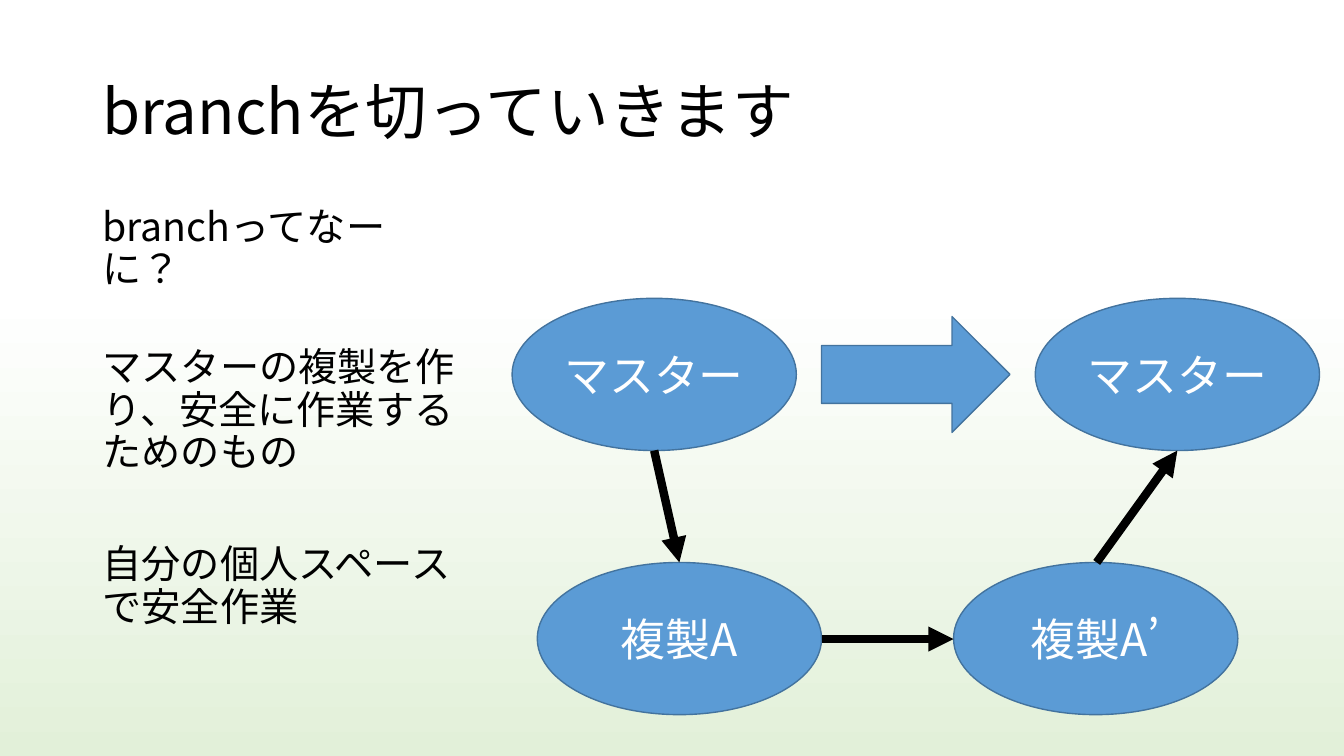
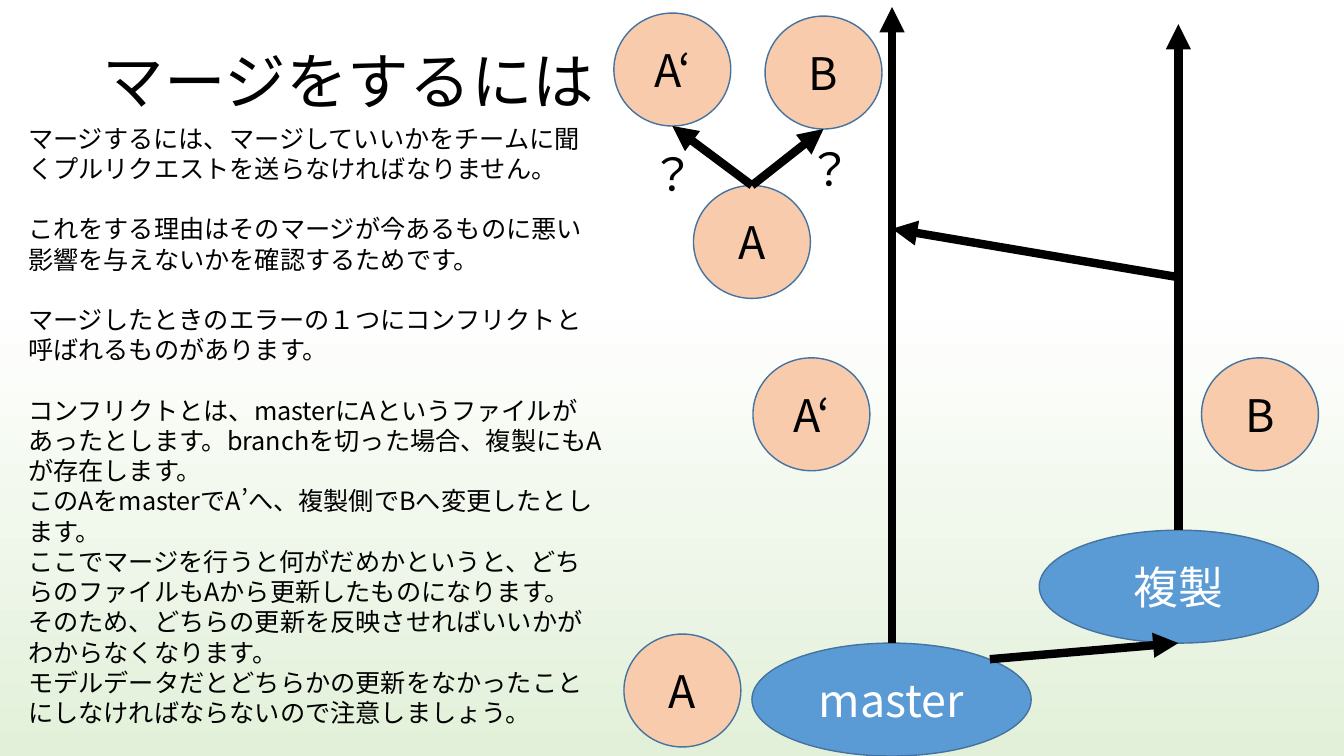
from lxml import etree
from pptx import Presentation
from pptx import util as u
from pptx.dml.color import RGBColor
from pptx.enum import lang, shapes, text
from pptx.oxml import ns

PX = 9144  # 100 px to the inch
FONT = "Noto Sans CJK JP"
C = {"black": "000000", "white": "FFFFFF", "blue": "5B9BD5",
     "edge": "43739E", "peach": "F8CBAD", "green": "E2F0D9"}
OVAL = shapes.MSO_SHAPE.OVAL
ARROW = shapes.MSO_SHAPE.RIGHT_ARROW


def rgb(name):
    return RGBColor.from_string(C[name])


def write(s, box, paragraphs, size=32, color="black", align=None, middle=False,
          spacing=1.0, gaps=(), shape=None, fill="blue"):
    """Put paragraphs in a text box, or in a filled shape; gaps are space before in points."""
    place = [v * PX for v in box]
    if shape is None:
        sp = s.shapes.add_textbox(*place)
    else:
        sp = s.shapes.add_shape(shape, *place)
        sp.shadow.inherit = False
        sp.fill.solid()
        sp.fill.fore_color.rgb = rgb(fill)
        sp.line.color.rgb = rgb("edge")
        sp.line.width = u.Pt(1)
    tf = sp.text_frame
    tf.word_wrap = True
    tf.vertical_anchor = text.MSO_ANCHOR.MIDDLE if middle else text.MSO_ANCHOR.TOP
    for i, line in enumerate(paragraphs):
        p = tf.add_paragraph() if i else tf.paragraphs[0]
        p.alignment = align
        p.line_spacing = u.Pt(size * 1.2 * spacing)
        if i < len(gaps):
            p.space_before = u.Pt(gaps[i])
        r = p.add_run()
        r.text = line
        r.font.size = u.Pt(size)
        r.font.color.rgb = rgb(color)
        r.font.name = FONT
        r.font.language_id = lang.MSO_LANGUAGE_ID.JAPANESE
        etree.SubElement(r._r.get_or_add_rPr(), ns.qn("a:ea"), typeface=FONT)


def arrow(s, *ends):
    c = s.shapes.add_connector(shapes.MSO_CONNECTOR.STRAIGHT, *[v * PX for v in ends])
    c.line.color.rgb = rgb("black")
    c.line.width = u.Pt(6)
    etree.SubElement(c.line._get_or_add_ln(), ns.qn("a:tailEnd"), type="triangle")
    etree.SubElement(c._element.spPr, ns.qn("a:effectLst"))


prs = Presentation()
prs.slide_width, prs.slide_height = u.Inches(13.333), u.Inches(7.5)
blank = prs.slide_layouts[6]

# Shared background
bg = prs.slide_master.background.fill
bg.gradient()
bg.gradient_angle = 270
for stop, (name, position) in zip(bg.gradient_stops, [("white", 0.39), ("green", 1.0)]):
    stop.color.rgb = rgb(name)
    stop.position = position

title = dict(size=44, middle=True, spacing=0.9)
node = dict(shape=OVAL, middle=True, align=text.PP_ALIGN.CENTER)

# Slide 1: branches
s = prs.slides.add_slide(blank)
write(s, (92, 40, 1150, 145), ["branchを切っていきます"], **title)
write(s, (92, 200, 377, 531),
      ["branchってなーに？",
       "マスターの複製を作り、安全に作業するためのもの",
       "自分の個人スペースで安全作業"],
      size=28, spacing=0.9, gaps=(0, 40, 50))
for label, x, y in [("マスター", 508, 296), ("マスター", 1027, 296),
                    ("複製A", 533, 558), ("複製A’", 946, 558)]:
    write(s, (x, y, 282, 151), [label], color="white", **node)
write(s, (815, 314, 187, 115), [], shape=ARROW)
for ends in [(649, 447, 674, 558), (815, 634, 946, 634), (1088, 558, 1168, 447)]:
    arrow(s, *ends)

# Slide 2: merging
s = prs.slides.add_slide(blank)
write(s, (92, 40, 1150, 85), ["マージをするには"], **title)
for label, x, y in [("master", 746, 638), ("複製", 1031, 526)]:
    write(s, (x, y, 277, 112), [label], color="white", **node)
for label, x, y in [("A", 688, 184), ("A‘", 747, 355), ("B", 1192, 355),
                    ("A", 619, 629), ("A‘", 609, 13), ("B", 759, 16)]:
    write(s, (x, y, 116, 112), [label], fill="peach", **node)
for ends in [(885, 638, 885, 7), (982, 654, 1169, 638), (1169, 526, 1169, 24),
             (1169, 275, 885, 227), (746, 184, 667, 125), (746, 184, 817, 128)]:
    arrow(s, *ends)
for x, y in [(635, 141), (791, 136)]:
    write(s, (x, y, 58, 64), ["？"])
write(s, (18, 117, 591, 616),
      ["マージするには、マージしていいかをチームに聞くプルリクエストを送らなければなりません。",
       "これをする理由はそのマージが今あるものに悪い影響を与えないかを確認するためです。",
       "マージしたときのエラーの１つにコンフリクトと呼ばれるものがあります。",
       "コンフリクトとは、masterにAというファイルがあったとします。"
       "branchを切った場合、複製にもAが存在します。",
       "このAをmasterでA’へ、複製側でBへ変更したとします。",
       "ここでマージを行うと何がだめかというと、どちらのファイルもAから更新したものになります。",
       "そのため、どちらの更新を反映させればいいかがわからなくなります。",
       "モデルデータだとどちらかの更新をなかったことにしなければならないので注意しましょう。"],
      size=18, gaps=(0, 21.6, 21.6, 21.6))

prs.save("out.pptx")
